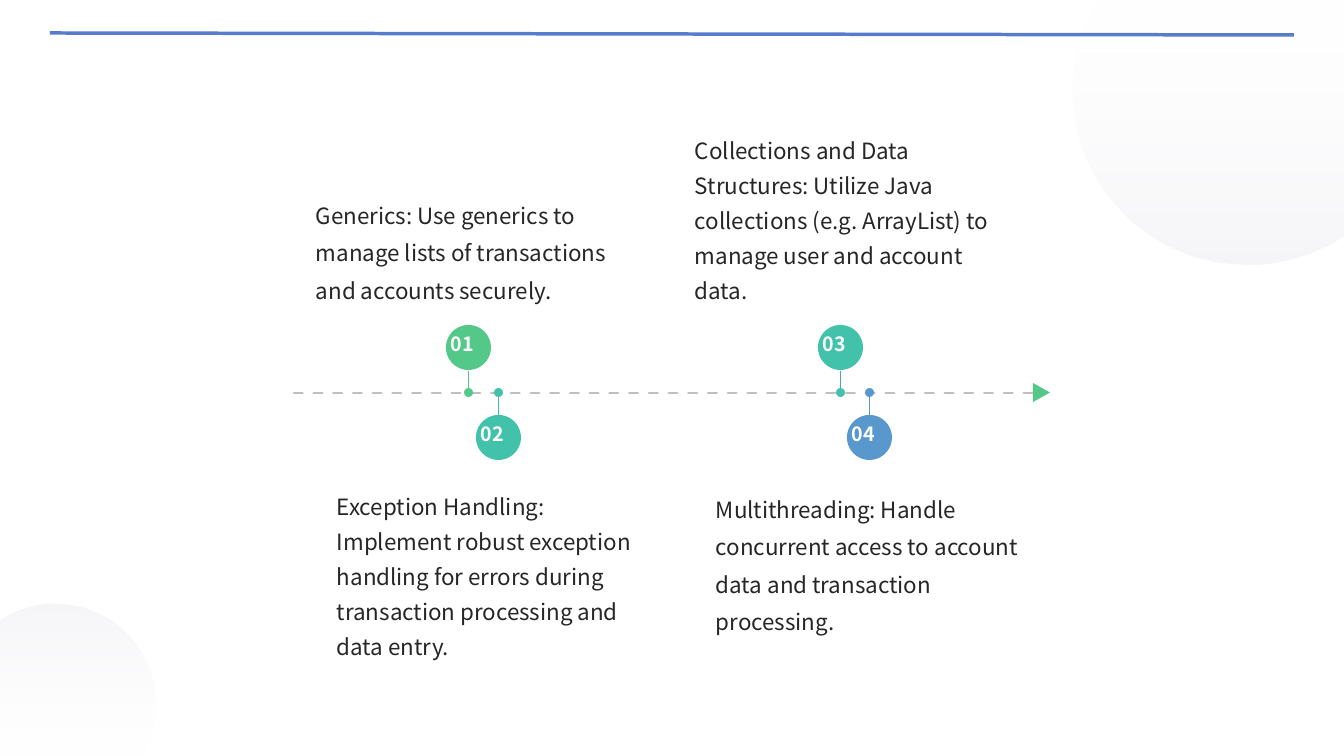
import dataclasses
import itertools
import math

import lxml.etree
import pptx
import pptx.dml.color
import pptx.enum.dml
import pptx.enum.shapes
import pptx.enum.text
import pptx.oxml.ns
import pptx.shapes.base
import pptx.slide
import pptx.util

SCALE = 12192000 / 1344  # EMU in one px
Kind = pptx.enum.shapes.MSO_SHAPE
Anchor = pptx.enum.text.MSO_ANCHOR
qn = pptx.oxml.ns.qn


@dataclasses.dataclass(frozen=True)
class Theme:
    font: str = "Noto Sans CJK SC"
    ink: str = "262626"
    white: str = "FFFFFF"
    mist: str = "D8D8E4"
    rule: str = "577CCE"
    axis: str = "BFBFBF"
    green: str = "54C888"
    teal: str = "42C2AA"
    cyan: str = "42AAC2"
    blue: str = "5898CC"
    body: int = 16
    badge: int = 14


@dataclasses.dataclass(frozen=True)
class Step:
    label: str
    x: int
    above: bool
    color: str
    stem: str
    left: int
    space: float
    text: str


@dataclasses.dataclass(frozen=True)
class Disc:
    x: int
    y: int
    radius: int
    right: int
    top: int
    turn: int


THEME = Theme()
AXIS = 393
STEPS = [
    Step("01", 468, True, THEME.green, THEME.green, 306, 1.4,
         "Generics: Use generics to manage lists of transactions and accounts securely."),
    Step("02", 498, False, THEME.teal, THEME.teal, 327, 1.3,
         "Exception Handling: Implement robust exception handling for errors "
         "during transaction processing and data entry."),
    Step("03", 840, True, THEME.teal, THEME.cyan, 685, 1.3,
         "Collections and Data Structures: Utilize Java collections "
         "(e.g. ArrayList) to manage user and account data."),
    Step("04", 869, False, THEME.blue, THEME.blue, 706, 1.4,
         "Multithreading: Handle concurrent access to account data and "
         "transaction processing."),
]
DISCS = [Disc(1247, 91, 174, 1344, 0, 0), Disc(100, 656, 100, 155, 604, 180)]


def px(size: float) -> int:
    return round(size * SCALE)


def rgb(color: str) -> pptx.dml.color.RGBColor:
    return pptx.dml.color.RGBColor.from_string(color)


def get_arc(disc: Disc) -> list[tuple[int, int]]:
    """Give the first point, then two handles and an end for each curve."""
    start = math.acos((disc.right - disc.x) / disc.radius)
    end = math.pi + math.asin((disc.y - disc.top) / disc.radius)

    def spot(turn: float, pull: float = 0) -> tuple[int, int]:
        return (px(disc.x + disc.radius * (math.cos(turn) - pull * math.sin(turn))),
                px(disc.y + disc.radius * (math.sin(turn) + pull * math.cos(turn))))

    points = [spot(start)]
    for a, b in itertools.pairwise((start, math.pi / 2, math.pi, end)):
        pull = 4 / 3 * math.tan((b - a) / 4)
        points += [spot(a, pull), spot(b, -pull), spot(b)]
    return points


def add_disc(slide: pptx.slide.Slide, disc: Disc) -> None:
    """Draw a disc cut off by its right and top edges, with a faint fade."""
    pen = slide.shapes.build_freeform(px(disc.right), px(disc.top))
    pen.add_line_segments(get_arc(disc), close=True)
    shape = pen.convert_to_shape()

    # Turn each three points after the first into one curve
    lines = list(shape._element.spPr.iter(qn("a:lnTo")))[1:]
    for first in range(0, len(lines), 3):
        curve = lxml.etree.Element(qn("a:cubicBezTo"))
        lines[first].addprevious(curve)
        for line in lines[first:first + 3]:
            curve.append(line[0])
            line.getparent().remove(line)

    shape.shadow.inherit = False
    shape.rotation = disc.turn
    shape.line.fill.background()
    shape.fill.gradient()
    shape.fill.gradient_angle = 270
    fades = ((THEME.white, 10), (THEME.mist, 24))
    for stop, (color, alpha) in zip(shape.fill.gradient_stops, fades):
        stop.color.rgb = rgb(color)
    tints = list(shape._element.spPr.iter(qn("a:srgbClr")))
    for tint, (color, alpha) in zip(tints, fades):
        node = lxml.etree.SubElement(tint, qn("a:alpha"))
        node.set("val", str(alpha * 1000))


def add_line(slide: pptx.slide.Slide, start: tuple[int, int], end: tuple[int, int],
             color: str, width: float, dashed: bool = False) -> None:
    line = slide.shapes.add_connector(
        pptx.enum.shapes.MSO_CONNECTOR.STRAIGHT, *map(px, start + end))
    line.line.color.rgb = rgb(color)
    line.line.width = pptx.util.Pt(width)
    if dashed:
        line.line.dash_style = pptx.enum.dml.MSO_LINE.DASH
        line._element.spPr.find(qn("a:ln")).set("cap", "rnd")
    lxml.etree.SubElement(line._element.spPr, qn("a:effectLst"))


def add_form(slide: pptx.slide.Slide, kind: Kind, box: tuple[int, int, int, int],
             color: str) -> pptx.shapes.base.BaseShape:
    shape = slide.shapes.add_shape(kind, *map(px, box))
    shape.shadow.inherit = False
    shape.fill.solid()
    shape.fill.fore_color.rgb = rgb(color)
    shape.line.fill.background()
    return shape


def add_text(slide: pptx.slide.Slide, box: tuple[int, int, int, int], text: str,
             size: int, color: str, bold: bool = False, space: float = 1.0,
             anchor: Anchor = Anchor.TOP) -> None:
    frame = slide.shapes.add_textbox(*map(px, box)).text_frame
    frame.word_wrap = True
    frame.vertical_anchor = anchor
    para = frame.paragraphs[0]
    para.line_spacing = space
    run = para.add_run()
    run.text = text
    run.font.name = THEME.font
    run.font.size = pptx.util.Pt(size)
    run.font.bold = bold
    run.font.color.rgb = rgb(color)


def add_step(slide: pptx.slide.Slide, step: Step) -> None:
    """Draw a badge, its stem and dot on the axis, and its text."""
    side = -1 if step.above else 1
    top = 325 if step.above else 415
    add_form(slide, Kind.OVAL, (step.x - 22, top, 45, 45), step.color)
    add_line(slide, (step.x, AXIS + 4 * side), (step.x, AXIS + 22 * side),
             step.stem, 0.5)
    add_form(slide, Kind.OVAL, (step.x - 4, AXIS - 5, 9, 9), step.color)
    add_text(slide, (step.x - 27, top + 2, 55, 42), step.label,
             THEME.badge, THEME.white, bold=True)
    add_text(slide, (step.left, 116 if step.above else 480, 345, 193), step.text,
             THEME.body, THEME.ink, space=step.space,
             anchor=Anchor.BOTTOM if step.above else Anchor.TOP)


def main() -> None:
    deck = pptx.Presentation()
    deck.slide_width, deck.slide_height = px(1344), px(756)
    slide = deck.slides.add_slide(deck.slide_layouts[6])

    # Backdrop
    for disc in DISCS:
        add_disc(slide, disc)
    add_line(slide, (50, 33), (1294, 35), THEME.rule, 2.5)

    # Time axis with its arrow tip
    add_line(slide, (294, AXIS), (1033, AXIS), THEME.axis, 2, dashed=True)
    tip = add_form(slide, Kind.ISOSCELES_TRIANGLE, (1032, 384, 19, 17), THEME.green)
    tip.rotation = 90

    # Steps
    for step in STEPS:
        add_step(slide, step)

    deck.save("out.pptx")


if __name__ == "__main__":
    main()
